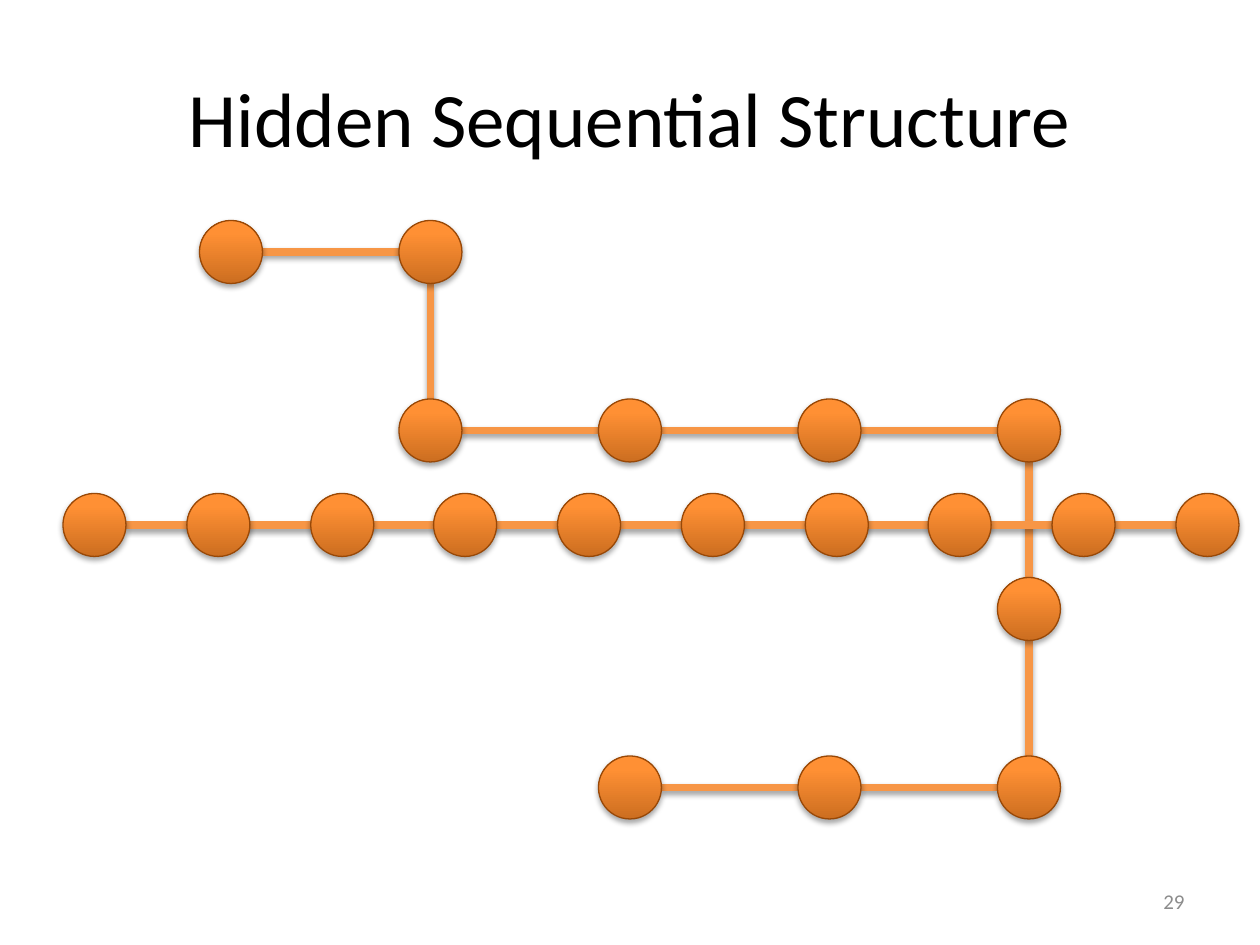
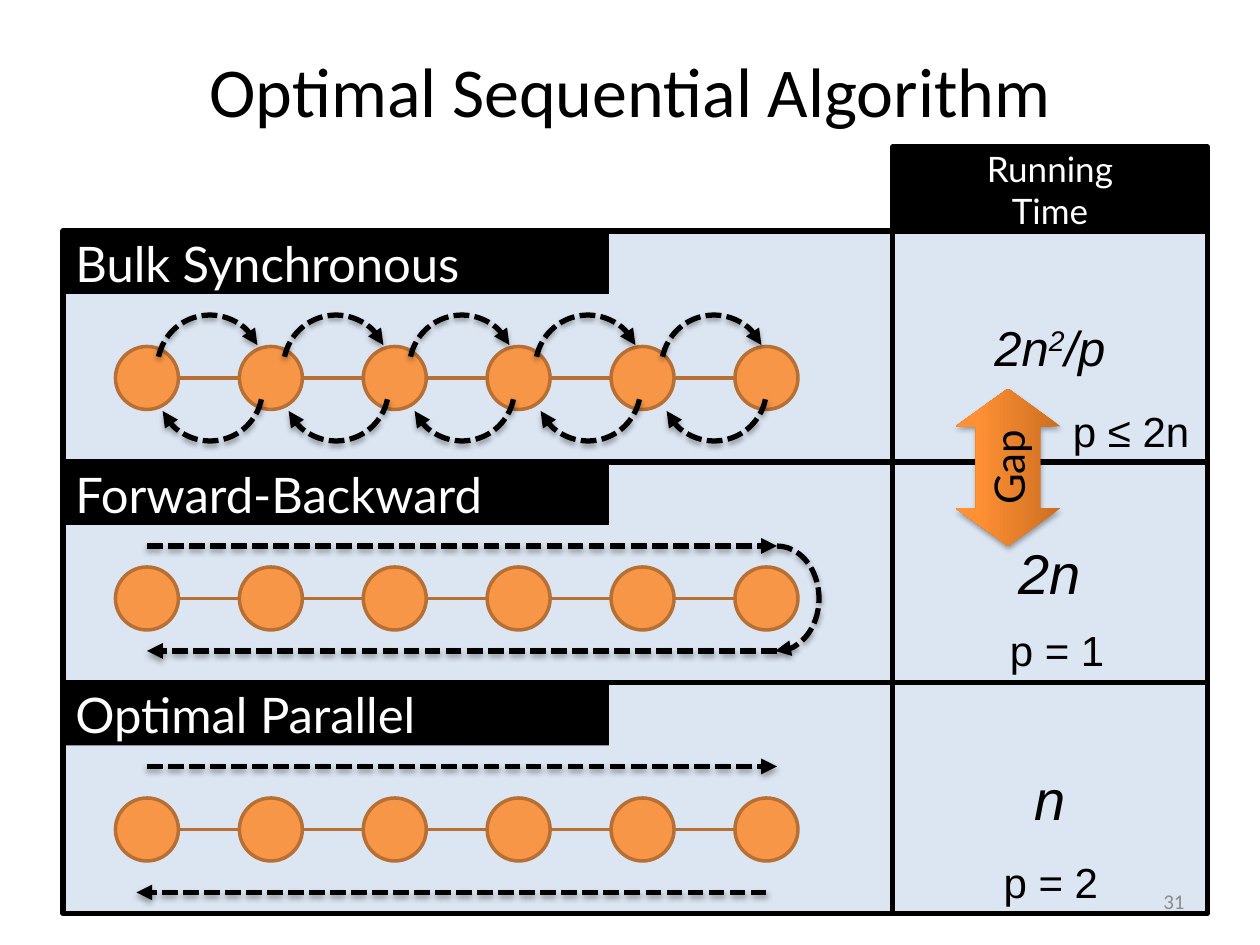
import copy

import pptx
import pptx.util
import pptx.dml.color
import pptx.enum.dml
import pptx.enum.shapes
import pptx.enum.text
import pptx.oxml.ns
from lxml import etree

PX = 7620
NODE = 60
SHAPES = pptx.enum.shapes.MSO_SHAPE
ALIGN = pptx.enum.text.PP_ALIGN
MIDDLE = pptx.enum.text.MSO_ANCHOR.MIDDLE
TOP = pptx.enum.text.MSO_ANCHOR.TOP
qn = pptx.oxml.ns.qn

COLOURS = {
    "black": "000000",
    "white": "FFFFFF",
    "grey": "8C8C8C",
    "panel": "DCE6F2",
    "orange": "F79646",
    "node_edge": "B76F34",
    "glossy_edge": "984807",
    "gradient_dark": "CC6E20",
    "gradient_mid": "FF9034",
    "gradient_light": "FF9136",
}
GRADIENT = [(0, "gradient_dark"), (0.8, "gradient_mid"), (1, "gradient_light")]

LINES = {
    "link": {"colour": "orange", "width": 4.5, "shadow": True},
    "thin_link": {"colour": "node_edge", "width": 2},
    "arrow": {"colour": "black", "width": 3, "dashed": True, "arrowhead": True,
              "shadow": True},
    "border": {"colour": "black", "width": 3},
    "glossy": {"colour": "glossy_edge", "width": 0.75, "shadow": True},
    "none": {},
    "lifted": {"shadow": True},
}

FONTS = {
    "title": ("black", {"name": "Calibri", "size": 44}),
    "small_title": ("black", {"name": "Calibri", "size": 40}),
    "number": ("grey", {"name": "Calibri", "size": 12}),
    "label": ("white", {"name": "Lato", "size": 28}),
    "header": ("white", {"name": "Lato", "size": 20}),
    "gap": ("black", {"name": "Lato", "size": 24}),
    "formula": ("black", {"name": "Arial", "size": 28, "italic": True}),
    "big_formula": ("black", {"name": "Arial", "size": 32, "italic": True}),
    "condition": ("black", {"name": "Arial", "size": 24}),
}


def px(*lengths):
    return [pptx.util.Emu(round(length) * PX) for length in lengths]


def rgb(colour):
    return pptx.dml.color.RGBColor.from_string(COLOURS[colour])


def set_format(target, values):
    for name, value in values.items():
        setattr(target, name, value)


def add_effects(shape, shadow):
    effects = etree.SubElement(shape._element.spPr, qn("a:effectLst"))
    if shadow:
        outer = etree.SubElement(effects, qn("a:outerShdw"), blurRad="40000",
                                 dist="23000", dir="5400000", rotWithShape="0")
        colour = etree.SubElement(outer, qn("a:srgbClr"), val=COLOURS["black"])
        etree.SubElement(colour, qn("a:alpha"), val="35000")


def style_line(shape, line):
    style = LINES[line]
    if "colour" in style:
        shape.line.color.rgb = rgb(style["colour"])
        shape.line.width = pptx.util.Pt(style["width"])
    else:
        shape.line.fill.background()
    if style.get("dashed"):
        shape.line.dash_style = pptx.enum.dml.MSO_LINE.SQUARE_DOT
    if style.get("arrowhead"):
        etree.SubElement(shape.get_or_add_ln(), qn("a:tailEnd"), type="triangle")
    add_effects(shape, style.get("shadow"))


def fill_gradient(shape):
    shape.fill.gradient()
    shape.fill.gradient_angle = 90
    stops = shape._element.spPr.find(".//" + qn("a:gsLst"))
    stops.append(copy.deepcopy(stops[0]))
    for stop, (position, colour) in zip(shape.fill.gradient_stops, GRADIENT):
        stop.position = position
        stop.color.rgb = rgb(colour)


def add_shape(shapes, kind, box, fill, line):
    shape = shapes.add_shape(kind, *px(*box))
    if fill == "gradient":
        fill_gradient(shape)
    elif fill:
        shape.fill.solid()
        shape.fill.fore_color.rgb = rgb(fill)
    else:
        shape.fill.background()
    style_line(shape, line)
    return shape


def add_line(shapes, start, end, line):
    connector = shapes.add_connector(
        pptx.enum.shapes.MSO_CONNECTOR.STRAIGHT, *px(*start, *end))
    style_line(connector, line)
    return connector


def write(shape, text, font, align=ALIGN.LEFT, anchor=MIDDLE, wrap=False):
    colour, values = FONTS[font]
    frame = shape.text_frame
    set_format(frame, {"word_wrap": wrap, "vertical_anchor": anchor})
    for index, line in enumerate(text.split("\n")):
        paragraph = frame.add_paragraph() if index else frame.paragraphs[0]
        paragraph.alignment = align
        for part, piece in enumerate(line.split("^")):
            run = paragraph.add_run()
            run.text = piece
            set_format(run.font, {**values, "size": pptx.util.Pt(values["size"])})
            run.font.color.rgb = rgb(colour)
            if part == 1:
                run._r.get_or_add_rPr().set("baseline", "30000")


def add_text(slide, box, text, font, **options):
    textbox = slide.shapes.add_textbox(*px(*box))
    write(textbox, text, font, **options)


def add_slide(presentation, title, font, title_top):
    slide = presentation.slides.add_slide(presentation.slide_layouts[5])
    names = ("left", "top", "width", "height")
    set_format(slide.shapes.title, dict(zip(names, px(60, title_top, 1080, 150))))
    write(slide.shapes.title, title, font, align=ALIGN.CENTER, wrap=True)
    return slide


def add_number(slide, number):
    add_text(slide, (860, 834, 280, 48), number, "number",
             align=ALIGN.RIGHT, wrap=True)


def add_node(shapes, left, top, fill, line):
    add_shape(shapes, SHAPES.OVAL, (left, top, NODE, NODE), fill, line)


def add_chain(slide, first, last, centre, count, fill, edge, link):
    shapes = slide.shapes.add_group_shape().shapes
    add_line(shapes, (first + NODE, centre), (last, centre), link)
    for index in range(count):
        left = first + index * (last - first) / (count - 1)
        add_node(shapes, left, centre - NODE / 2, fill, edge)


def add_winding_path(slide, cells):
    centres = [(220 + 190 * column, 240 + 170 * row) for column, row in cells]
    radius = NODE // 2
    for (x1, y1), (x2, y2) in zip(centres, centres[1:]):
        step_x = radius * ((x2 > x1) - (x2 < x1))
        step_y = radius * ((y2 > y1) - (y2 < y1))
        add_line(slide.shapes, (x1 + step_x, y1 + step_y),
                 (x2 - step_x, y2 - step_y), "link")
    for x, y in centres:
        add_node(slide.shapes, x - radius, y - radius, "gradient", "glossy")


def add_arc(slide, box, start, end, rotation=0):
    arc = add_shape(slide.shapes, SHAPES.ARC, box, None, "arrow")
    arc.rotation = rotation
    arc.adjustments[0] = start
    arc.adjustments[1] = end


def add_algorithm(slide, name, top, height, chain_centre, formula, formula_font):
    add_shape(slide.shapes, SHAPES.RECTANGLE, (60, top, 790, height),
              "panel", "border")
    label = add_shape(slide.shapes, SHAPES.RECTANGLE, (60, top, 520, 60),
                      "black", "none")
    write(label, name, "label")
    add_chain(slide, 110, 700, chain_centre, 6, "orange", "thin_link", "thin_link")
    time = add_shape(slide.shapes, SHAPES.RECTANGLE, (850, top, 300, height),
                     "panel", "border")
    write(time, formula, formula_font, align=ALIGN.CENTER)


def build_hidden_structure(presentation):
    slide = add_slide(presentation, "Hidden Sequential Structure", "title", 36)
    add_winding_path(slide, [(0, 0), (1, 0), (1, 1), (2, 1), (3, 1), (4, 1),
                             (4, 2), (4, 3), (3, 3), (2, 3)])
    add_chain(slide, 60, 1120, 500, 10, "gradient", "glossy", "link")
    add_number(slide, "29")


def build_optimal_algorithm(presentation):
    slide = add_slide(presentation, "Optimal Sequential Algorithm", "small_title", 10)
    for algorithm in [
        ("Bulk Synchronous", 220, 220, 360, "2n^2^/p", "formula"),
        ("Forward-Backward", 440, 210, 570, "2n", "big_formula"),
        ("Optimal Parallel", 650, 220, 790, "n", "big_formula"),
    ]:
        add_algorithm(slide, *algorithm)

    header = add_shape(slide.shapes, SHAPES.RECTANGLE, (850, 140, 300, 80),
                       "black", "border")
    write(header, "Running\nTime", "header", align=ALIGN.CENTER)

    for top, rotation in [(300, 270), (320, 90)]:
        for index in range(5):
            add_arc(slide, (150 + 120 * index, top, 100, 100),
                    169.17, 38.75, rotation)

    gap = add_shape(slide.shapes, SHAPES.LEFT_RIGHT_ARROW, (885, 395, 150, 100),
                    "gradient", "lifted")
    gap.rotation = 270
    gap.adjustments[0] = 0.61
    gap.adjustments[1] = 0.36
    write(gap, "Gap", "gap", align=ALIGN.CENTER)

    for left, top, width, condition in [(1010, 380, 138, "p ≤ 2n"),
                                        (950, 589, 115, "p = 1"),
                                        (944, 810, 115, "p = 2")]:
        add_text(slide, (left, top, width, 60), condition, "condition", anchor=TOP)
    add_number(slide, "31")

    for start, end, y in [(140, 740, 520), (740, 140, 620),
                          (140, 740, 730), (730, 130, 850)]:
        add_line(slide.shapes, (start, y), (end, y), "arrow")
    add_arc(slide, (700, 520, 80, 100), 162, 55.15)


def main():
    presentation = pptx.Presentation()
    presentation.slide_width, presentation.slide_height = px(1200, 900)
    build_hidden_structure(presentation)
    build_optimal_algorithm(presentation)
    presentation.save("out.pptx")


if __name__ == "__main__":
    main()
